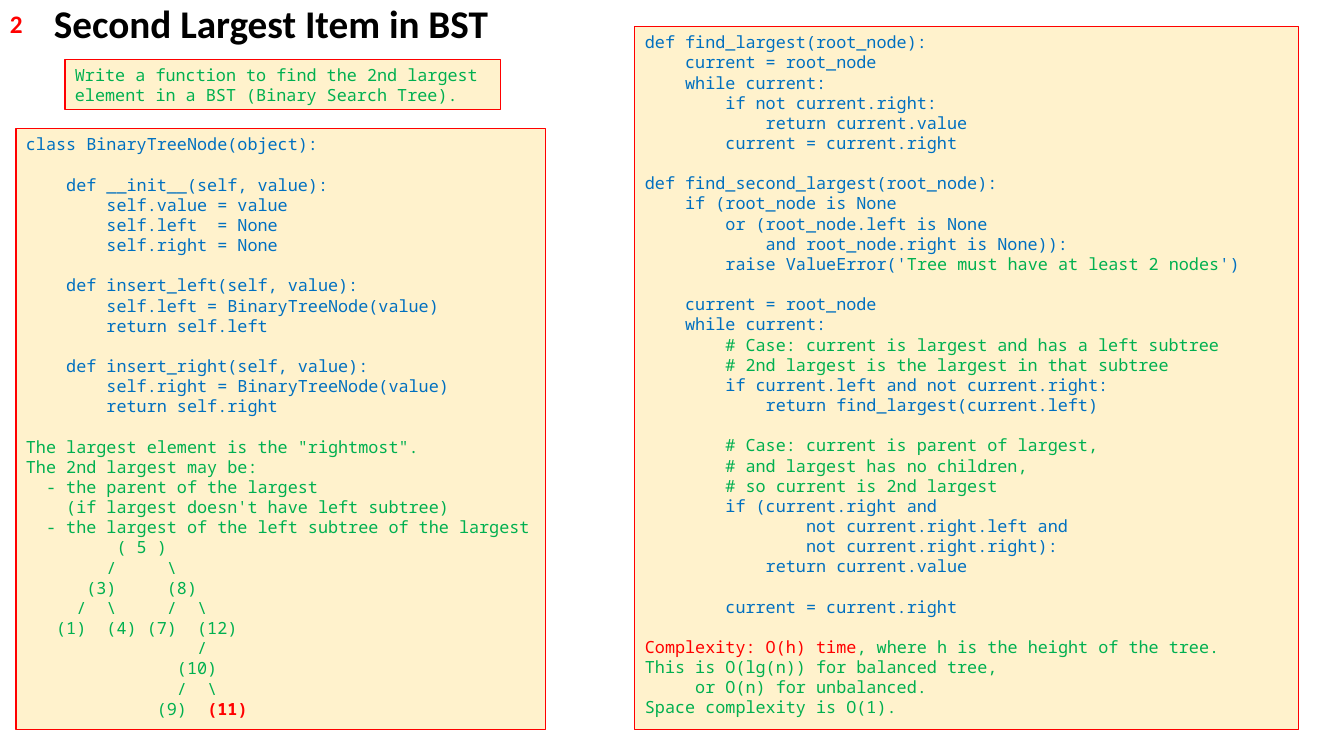
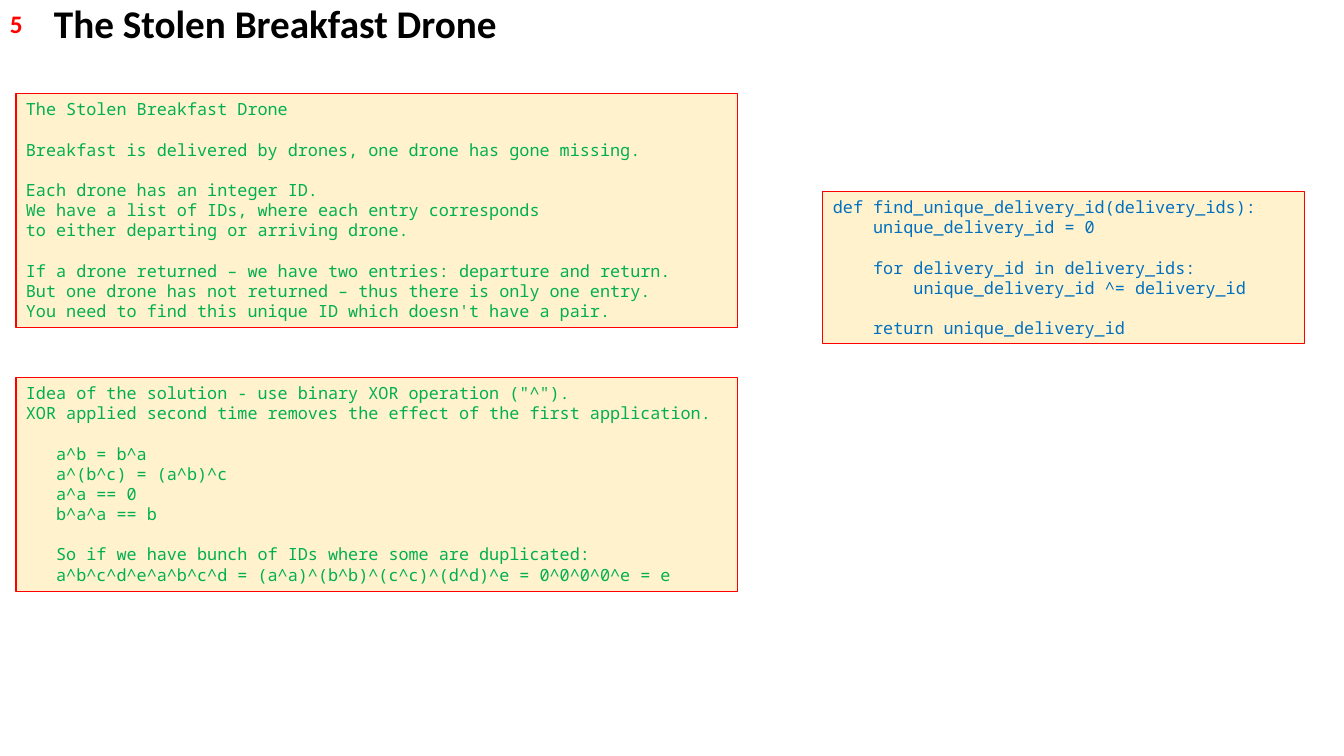
"""Build two slides of annotated interview code."""
from dataclasses import dataclass
from typing import Any

import pptx
import pptx.dml.color
import pptx.enum.shapes
import pptx.enum.text
import pptx.slide
import pptx.text.text
import pptx.util

EMU_PER_PX = 914400 / 100.8
PAGE_WIDTH, PAGE_HEIGHT = 1344, 756
BLANK_LAYOUT = 6
BLUE, GREEN, RED, BLACK, CREAM = "0070C0", "00B050", "FF0000", "000000", "FFF2CC"
LINE_PITCH = pptx.util.Pt(14.4)
BORDER_WIDTH = pptx.util.Pt(0.75)
CODE_FONT = {"name": "Noto Sans Mono", "size": pptx.util.Pt(12)}
TITLE_FONT = {"name": "Calibri", "size": pptx.util.Pt(28)}
NUMBER_FONT = {"name": "Calibri", "size": pptx.util.Pt(18)}
CODE_FRAME = {
    "word_wrap": True,
    "auto_size": pptx.enum.text.MSO_AUTO_SIZE.NONE,
    "vertical_anchor": pptx.enum.text.MSO_ANCHOR.TOP,
}
CODE_PARAGRAPH = {
    "alignment": pptx.enum.text.PP_ALIGN.LEFT,
    "line_spacing": LINE_PITCH,
}


@dataclass(frozen=True)
class Area:
    left: int
    top: int
    width: int
    height: int


@dataclass(frozen=True)
class Passage:
    text: str
    color: str
    bold: bool = False


@dataclass(frozen=True)
class Panel:
    area: Area
    passages: tuple[Passage, ...]


@dataclass(frozen=True)
class Topic:
    number: str
    title: str
    title_width: int
    panels: tuple[Panel, ...]


TOPICS = (
    Topic("2", "Second Largest Item in BST", 480, (
        Panel(Area(65, 60, 436, 50), (
            Passage("""Write a function to find the 2nd largest
element in a BST (Binary Search Tree).""", GREEN),
        )),
        Panel(Area(16, 129, 530, 601), (
            Passage("""class BinaryTreeNode(object):

    def __init__(self, value):
        self.value = value
        self.left  = None
        self.right = None

    def insert_left(self, value):
        self.left = BinaryTreeNode(value)
        return self.left

    def insert_right(self, value):
        self.right = BinaryTreeNode(value)
        return self.right

""", BLUE),
            Passage(r"""The largest element is the "rightmost".
The 2nd largest may be:
  - the parent of the largest
    (if largest doesn't have left subtree)
  - the largest of the left subtree of the largest
         ( 5 )
        /     \
      (3)     (8)
     /  \     /  \
   (1)  (4) (7)  (12)
                 /
               (10)
               /  \
             (9)  """, GREEN),
            Passage("(11)", RED, True),
        )),
        Panel(Area(635, 27, 664, 703), (
            Passage("""def find_largest(root_node):
    current = root_node
    while current:
        if not current.right:
            return current.value
        current = current.right

def find_second_largest(root_node):
    if (root_node is None
        or (root_node.left is None
            and root_node.right is None)):
        raise ValueError('""", BLUE),
            Passage("Tree must have at least 2 nodes", GREEN),
            Passage("""')

    current = root_node
    while current:
""", BLUE),
            Passage("""        # Case: current is largest and has a left subtree
        # 2nd largest is the largest in that subtree
""", GREEN),
            Passage("""        if current.left and not current.right:
            return find_largest(current.left)

""", BLUE),
            Passage("""        # Case: current is parent of largest,
        # and largest has no children,
        # so current is 2nd largest
""", GREEN),
            Passage("""        if (current.right and
                not current.right.left and
                not current.right.right):
            return current.value

        current = current.right

""", BLUE),
            Passage("Complexity: O(h) time", RED),
            Passage(""", where h is the height of the tree.
This is O(lg(n)) for balanced tree,
     or O(n) for unbalanced.
Space complexity is O(1).""", GREEN),
        )),
    )),
    Topic("5", "The Stolen Breakfast Drone", 799, (
        Panel(Area(16, 94, 722, 234), (
            Passage("""The Stolen Breakfast Drone

Breakfast is delivered by drones, one drone has gone missing.

Each drone has an integer ID.
We have a list of IDs, where each entry corresponds
to either departing or arriving drone.

If a drone returned – we have two entries: departure and return.
But one drone has not returned – thus there is only one entry.
You need to find this unique ID which doesn't have a pair.""", GREEN),
        )),
        Panel(Area(823, 192, 482, 152), (
            Passage("""def find_unique_delivery_id(delivery_ids):
    unique_delivery_id = 0

    for delivery_id in delivery_ids:
        unique_delivery_id ^= delivery_id

    return unique_delivery_id""", BLUE),
        )),
        Panel(Area(16, 378, 722, 214), (
            Passage("""Idea of the solution - use binary XOR operation ("^").
XOR applied second time removes the effect of the first application.

   a^b = b^a
   a^(b^c) = (a^b)^c
   a^a == 0
   b^a^a == b

   So if we have bunch of IDs where some are duplicated:
   a^b^c^d^e^a^b^c^d = (a^a)^(b^b)^(c^c)^(d^d)^e = 0^0^0^0^e = e""", GREEN),
        )),
    )),
)


def px(length: int) -> pptx.util.Emu:
    return pptx.util.Emu(round(length * EMU_PER_PX))


def place(area: Area) -> tuple[pptx.util.Emu, ...]:
    return px(area.left), px(area.top), px(area.width), px(area.height)


def rgb(color: str) -> pptx.dml.color.RGBColor:
    return pptx.dml.color.RGBColor.from_string(color)


def apply(target: Any, values: dict[str, Any]) -> None:
    for name, value in values.items():
        setattr(target, name, value)


def add_span(para: Any, passage: Passage, font: dict[str, Any]) -> None:
    span = para.add_run()
    span.text = passage.text
    apply(span.font, {**font, "bold": passage.bold})
    span.font.color.rgb = rgb(passage.color)


def split_lines(passages: tuple[Passage, ...]) -> list[list[Passage]]:
    lines: list[list[Passage]] = [[]]
    for passage in passages:
        for index, piece in enumerate(passage.text.split("\n")):
            if index:
                lines.append([])
            if piece:
                lines[-1].append(Passage(piece, passage.color, passage.bold))
    return lines


def add_label(page: pptx.slide.Slide, area: Area, passage: Passage,
              font: dict[str, Any], wrap: bool) -> None:
    box = page.shapes.add_textbox(*place(area))
    box.text_frame.word_wrap = wrap
    add_span(box.text_frame.paragraphs[0], passage, font)


def add_panel(page: pptx.slide.Slide, panel: Panel) -> None:
    box = page.shapes.add_shape(
        pptx.enum.shapes.MSO_SHAPE.RECTANGLE, *place(panel.area))
    box.shadow.inherit = False
    box.fill.solid()
    box.fill.fore_color.rgb = rgb(CREAM)
    box.line.color.rgb = rgb(RED)
    box.line.width = BORDER_WIDTH
    frame = box.text_frame
    apply(frame, CODE_FRAME)
    para = frame.paragraphs[0]
    gap = 0
    for index, line in enumerate(split_lines(panel.passages)):
        if not line:
            gap += LINE_PITCH
            continue
        if index:
            para = frame.add_paragraph()
        apply(para, {**CODE_PARAGRAPH, "space_before": pptx.util.Emu(gap)})
        gap = 0
        for passage in line:
            add_span(para, passage, CODE_FONT)


def add_topic(deck: Any, topic: Topic) -> None:
    page = deck.slides.add_slide(deck.slide_layouts[BLANK_LAYOUT])
    add_label(page, Area(44, -6, topic.title_width, 57),
              Passage(topic.title, BLACK, True), TITLE_FONT, True)
    add_label(page, Area(0, 3, 33, 40),
              Passage(topic.number, RED, True), NUMBER_FONT, False)
    for panel in topic.panels:
        add_panel(page, panel)


def main() -> None:
    deck = pptx.Presentation()
    apply(deck, {"slide_width": px(PAGE_WIDTH), "slide_height": px(PAGE_HEIGHT)})
    for topic in TOPICS:
        add_topic(deck, topic)
    deck.save("out.pptx")


if __name__ == "__main__":
    main()
